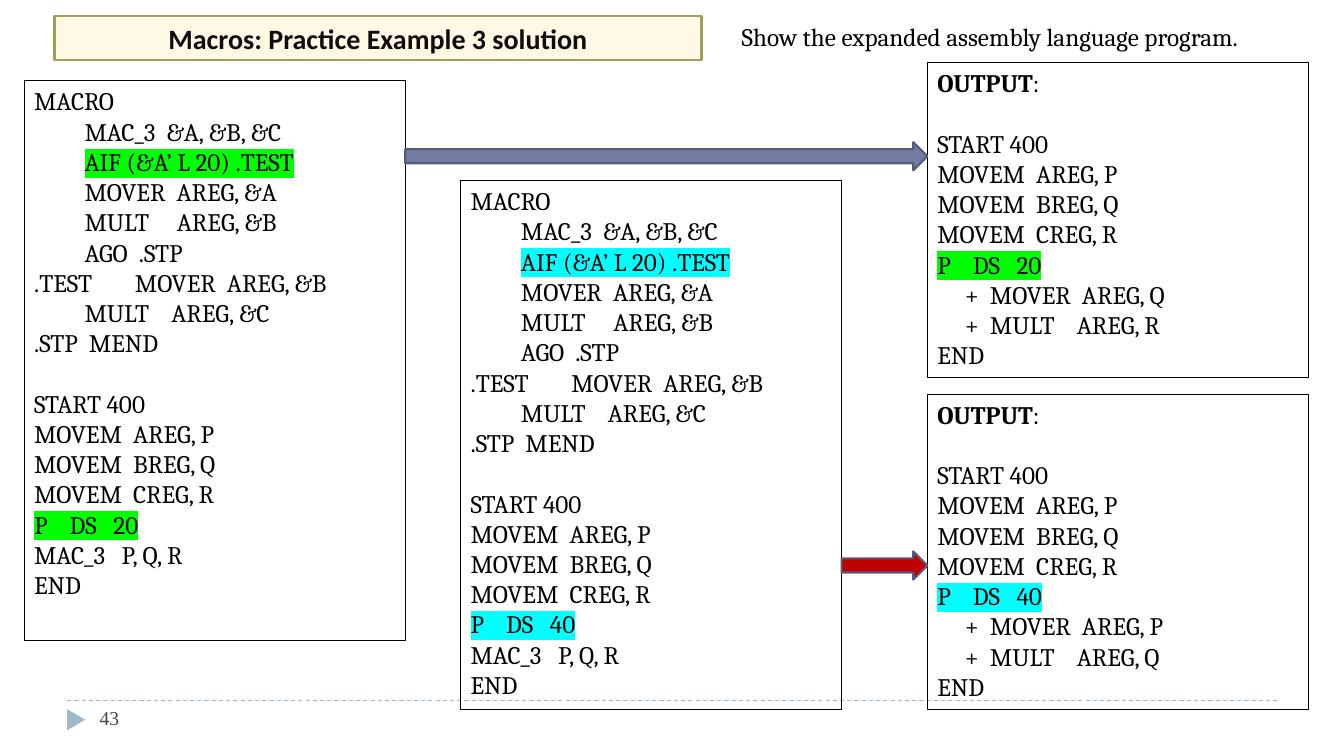
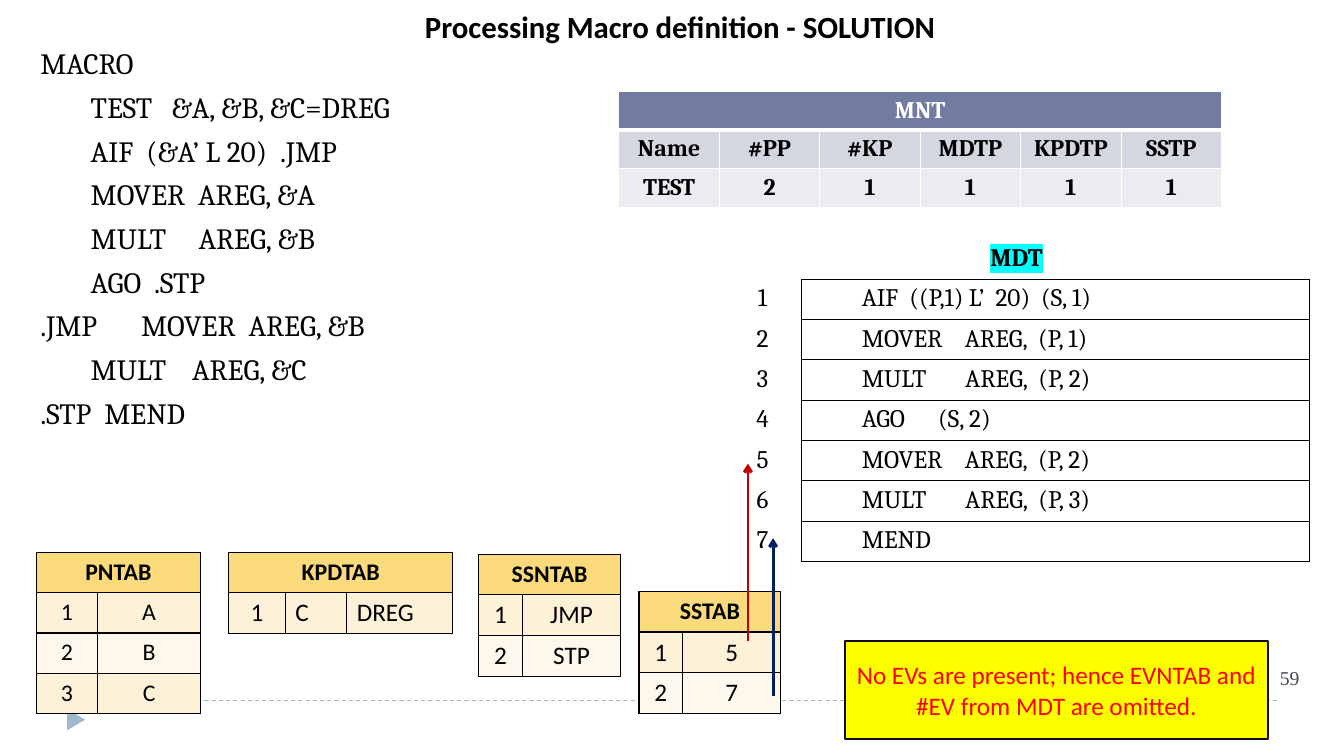
import dataclasses

import pptx
import pptx.dml.color
import pptx.enum.dml
import pptx.enum.shapes
import pptx.enum.text
import pptx.oxml
import pptx.oxml.ns
import pptx.oxml.xmlchemy
import pptx.util

RGBColor = pptx.dml.color.RGBColor
Pt = pptx.util.Pt
Shapes = pptx.enum.shapes.MSO_SHAPE
Align = pptx.enum.text.PP_ALIGN
Anchor = pptx.enum.text.MSO_ANCHOR
qn = pptx.oxml.ns.qn

# Slide grid: 40 columns by 30 rows
SLIDE_WIDTH = pptx.util.Inches(13.333)
SLIDE_HEIGHT = pptx.util.Inches(7.5)
COLUMNS, ROWS = 40, 30

# Colours
BLACK = RGBColor(0x00, 0x00, 0x00)
WHITE = RGBColor(0xFF, 0xFF, 0xFF)
INK = RGBColor(0x0D, 0x0D, 0x0D)
FOOTER_BLUE = RGBColor(0x9F, 0xB8, 0xCD)
FOOTER_TEXT = RGBColor(0x46, 0x46, 0x53)
CREAM = RGBColor(0xFE, 0xF8, 0xE4)
OLIVE = RGBColor(0x9B, 0xA1, 0x5A)
SLATE = RGBColor(0x72, 0x7C, 0xA3)
DARK_SLATE = RGBColor(0x54, 0x5C, 0x79)
SLATE_BANDS = (RGBColor(0xD5, 0xD7, 0xE0), RGBColor(0xEB, 0xEC, 0xF0))
GOLD = RGBColor(0xFA, 0xDA, 0x7A)
GOLD_BANDS = (RGBColor(0xFD, 0xF1, 0xD7), RGBColor(0xFE, 0xF8, 0xEC))
GREEN = RGBColor(0x00, 0xFF, 0x00)
CYAN = RGBColor(0x00, 0xFF, 0xFF)
YELLOW = RGBColor(0xFF, 0xFF, 0x00)
RED = RGBColor(0xFF, 0x00, 0x00)
DARK_RED = RGBColor(0xC0, 0x00, 0x00)
NAVY = RGBColor(0x00, 0x20, 0x60)

HEADING_FONT, CODE_FONT, NUMBER_FONT = "Calibri", "Cambria", "Times New Roman"
BLANK_LINE = 21.6  # height of one 18 pt code line
ALL_SIDES = "LRTB"


@dataclasses.dataclass(frozen=True)
class TableStyle:
    font: str
    header_fill: RGBColor = None
    header_color: RGBColor = BLACK
    header_size: int = 17
    header_rule: int = 1
    bands: tuple = (None,)
    border: RGBColor = BLACK
    body_bold: bool = False
    numbered: bool = False  # unboxed line numbers beside boxed lines


MNT_STYLE = TableStyle(CODE_FONT, SLATE, WHITE, header_rule=3, bands=SLATE_BANDS,
                       border=WHITE, body_bold=True)
GOLD_STYLE = TableStyle(HEADING_FONT, GOLD, bands=GOLD_BANDS)
MDT_STYLE = TableStyle(CODE_FONT, header_size=18, numbered=True)


def across(columns):
    return round(SLIDE_WIDTH * columns / COLUMNS)


def down(rows):
    return round(SLIDE_HEIGHT * rows / ROWS)


def area(left, top, width, height):
    return across(left), down(top), across(width), down(height)


def add_element(parent, tag, **attributes):
    element = pptx.oxml.xmlchemy.OxmlElement(tag)
    for name, value in attributes.items():
        element.set(name, str(value))
    parent.append(element)
    return element


# Text
def format_text(frame, font, size, color=BLACK, bold=False, align=Align.LEFT, anchor=Anchor.TOP):
    frame.word_wrap = True
    frame.vertical_anchor = anchor
    for paragraph in frame.paragraphs:
        paragraph.alignment = align
        for run in paragraph.runs:
            run.font.name, run.font.size, run.font.bold = font, Pt(size), bold
            run.font.color.rgb = color


def highlight(run, color):
    mark = pptx.oxml.xmlchemy.OxmlElement("a:highlight")
    add_element(mark, "a:srgbClr", val=color)
    run.font.fill._xPr.find(qn("a:solidFill")).addnext(mark)


def split_paragraph(paragraph, first, second):
    paragraph.text = first
    run = paragraph.add_run()
    run.text = second
    return run


def write_code(frame, lines, size, marked=(), mark_color=None):
    frame.text = "\n".join(lines)
    marked_runs = []
    for paragraph in frame.paragraphs:
        properties = paragraph._p.get_or_add_pPr()
        properties.set("marL", "0")
        properties.set("indent", "0")
        add_element(properties, "a:buNone")
        tabs = add_element(properties, "a:tabLst")
        add_element(tabs, "a:tab", pos=across(3), algn="l")
        code = paragraph.text.lstrip("\t")
        if code in marked:
            if paragraph.text != code:
                split_paragraph(paragraph, "\t", code)
            marked_runs.append(paragraph.runs[-1])
        elif code == "OUTPUT:":
            split_paragraph(paragraph, "OUTPUT", ":")
        elif code == "START 400":
            paragraph.space_before = Pt(BLANK_LINE)
    format_text(frame, CODE_FONT, size)
    for run in marked_runs:
        highlight(run, mark_color)


def set_title(slide, text, position, size, color=BLACK):
    title = slide.shapes.title
    title.left, title.top, title.width, title.height = position
    title.text_frame.text = text
    title.text_frame.auto_size = pptx.enum.text.MSO_AUTO_SIZE.NONE
    format_text(title.text_frame, HEADING_FONT, size, color, True, Align.CENTER, Anchor.MIDDLE)
    return title


def add_text(slide, text, position, font, size, color=BLACK, align=Align.LEFT):
    frame = slide.shapes.add_textbox(*position).text_frame
    frame.text = text
    format_text(frame, font, size, color, align=align)


def add_page_number(slide, number, position, align=Align.LEFT):
    add_text(slide, number, position, NUMBER_FONT, 14, FOOTER_TEXT, align)


# Shapes and lines
def paint(shape, fill, line, line_width):
    if fill is None:
        shape.fill.background()
    else:
        shape.fill.solid()
        shape.fill.fore_color.rgb = fill
    if line is None:
        shape.line.fill.background()
    else:
        shape.line.color.rgb = line
        shape.line.width = Pt(line_width)


def add_figure(slide, kind, position, fill=None, line=None, line_width=0.75):
    shape = slide.shapes.add_shape(kind, *position)
    shape.shadow.inherit = False
    paint(shape, fill, line, line_width)
    return shape


def add_code_box(slide, position, lines, marked, mark_color):
    box = add_figure(slide, Shapes.RECTANGLE, position, line=BLACK)
    write_code(box.text_frame, lines, 18, marked, mark_color)
    if lines[0] == "OUTPUT:":
        box.text_frame.paragraphs[0].runs[0].font.bold = True
    return box


def add_block_arrow(slide, source, target, top, color):
    left = source.left + source.width
    position = left, down(top), target.left - left, down(1.12)
    add_figure(slide, Shapes.RIGHT_ARROW, position, color, DARK_SLATE, 1.5)


def add_line(slide, start, end, color, width):
    line = slide.shapes.add_connector(
        pptx.enum.shapes.MSO_CONNECTOR.STRAIGHT,
        across(start[0]), down(start[1]), across(end[0]), down(end[1]))
    line.line.color.rgb = color
    line.line.width = Pt(width)
    add_element(line.element.spPr, "a:effectLst")
    return line


def add_pointer(slide, column, bottom, top, color):
    pointer = add_line(slide, (column, bottom), (column, top), color, 2)
    add_element(pointer.get_or_add_ln(), "a:tailEnd", type="arrow")


def add_master_footer(presentation, slide):
    """Draw the footer rule and marker, then hand them to the slide master."""
    rule = add_line(slide, (2, 27.8), (38, 27.8), FOOTER_BLUE, 0.75)
    rule.line.dash_style = pptx.enum.dml.MSO_LINE.DASH
    marker = add_figure(slide, Shapes.ISOSCELES_TRIANGLE, area(1.95, 28.2, 0.63, 0.72), FOOTER_BLUE)
    marker.rotation = 90
    for shape in (rule, marker):
        presentation.slide_master.shapes.element.append(shape.element)


# Tables
def set_borders(cell, widths, color):
    properties = cell._tc.get_or_add_tcPr()
    for index, (side, width) in enumerate(widths.items()):
        line = add_element(properties, f"a:ln{side}", w=Pt(width))
        add_element(add_element(line, "a:solidFill"), "a:srgbClr", val=color)
        properties.insert(index, line)


def border_widths(style, row, column):
    sides = ALL_SIDES
    if style.numbered and row == 0:
        sides = ""
    elif style.numbered and column == 0:
        sides = "R"
    return {side: style.header_rule if (row, side) in ((0, "B"), (1, "T")) else 1
            for side in sides}


def add_data_table(slide, left, top, widths, row_height, header, rows, style,
                   body_size=18, left_columns=()):
    position = area(left, top, sum(widths), row_height * (len(rows) + 1))
    table = slide.shapes.add_table(len(rows) + 1, len(widths), *position).table
    table.first_row = table.horz_banding = False
    # "No Style, No Grid"
    table._tbl.tblPr.find(qn("a:tableStyleId")).text = "{2D5ABB26-0587-4C30-8999-92F81FD0307C}"
    for column, width in zip(table.columns, widths):
        column.width = across(width)
    table.cell(0, 0).merge(table.cell(0, len(widths) - 1))
    header_row = [header] + [""] * (len(widths) - 1)
    for row, values in enumerate([header_row, *rows]):
        table.rows[row].height = down(row_height)
        is_header = row == 0
        fill = style.header_fill if is_header else style.bands[(row - 1) % len(style.bands)]
        for column, value in enumerate(values):
            cell = table.cell(row, column)
            cell.text_frame.text = value
            is_left = column in left_columns and not is_header
            format_text(cell.text_frame, style.font,
                        style.header_size if is_header else body_size,
                        style.header_color if is_header else BLACK,
                        is_header or style.body_bold,
                        Align.LEFT if is_left else Align.CENTER)
            if fill is None:
                cell.fill.background()
            else:
                cell.fill.solid()
                cell.fill.fore_color.rgb = fill
            set_borders(cell, border_widths(style, row, column), style.border)
    return table


# Assembly listings
def macro_lines(prototype, condition, label):
    return ["MACRO", f"\t{prototype}", f"\t{condition}", "\tMOVER  AREG, &A",
            "\tMULT     AREG, &B", "\tAGO  .STP", f"{label}\tMOVER  AREG, &B",
            "\tMULT    AREG, &C", ".STP  MEND"]


def program_lines(definition, calls):
    moves = [f"MOVEM  {register}REG, {name}" for register, name in zip("ABC", "PQR")]
    return ["START 400", *moves, definition, *calls, "END"]


def build_expansion_slide(slide):
    title = set_title(slide, "Macros: Practice Example 3 solution",
                      area(1.62, 0.64, 19.26, 1.76), 20, INK)
    paint(title, CREAM, OLIVE, 1.5)
    add_text(slide, "Show the expanded assembly language program.",
             area(21.78, 0.64, 17.31, 1.6), CODE_FONT, 18, align=Align.JUSTIFY)
    condition = "AIF (&A’ L 20) .TEST"
    macro = macro_lines("MAC_3  &A, &B, &C", condition, ".TEST")
    box_width = 11.34
    # size, input left/top/height, output top, operands, highlight, arrow top and colour
    cases = (
        (20, 0.72, 3.2, 22.2, 2.48, "QR", GREEN, 5.64, SLATE),
        (40, 13.71, 7.16, 21, 15.64, "PQ", CYAN, 21.88, DARK_RED),
    )
    for size, left, top, height, output_top, operands, mark, arrow_top, arrow_color in cases:
        definition = f"P    DS   {size}"
        marked = (condition, definition)
        source = add_code_box(slide, area(left, top, box_width, height),
                              macro + program_lines(definition, ["MAC_3   P, Q, R"]), marked, mark)
        expansion = [f"     +  MOVER  AREG, {operands[0]}", f"     +  MULT    AREG, {operands[1]}"]
        output = add_code_box(slide, area(27.6, output_top, box_width, 12.52),
                              ["OUTPUT:"] + program_lines(definition, expansion), marked, mark)
        add_block_arrow(slide, source, output, arrow_top, arrow_color)
    add_page_number(slide, "43", area(2.67, 27.8, 8.67, 1.6))


def build_tables_slide(slide):
    set_title(slide, "Processing Macro definition - SOLUTION", area(8, 0.08, 24.48, 1.88), 22)

    # Macro source
    body = slide.placeholders[1]
    body.left, body.top, body.width, body.height = area(0.9, 1.6, 15.57, 15.8)
    body.text_frame.auto_size = pptx.enum.text.MSO_AUTO_SIZE.NONE
    write_code(body.text_frame,
               macro_lines("TEST   &A, &B, &C=DREG", "AIF  (&A’ L 20)  .JMP", ".JMP"), 21)
    for index, paragraph in enumerate(body.text_frame.paragraphs):
        paragraph.space_before = Pt(6 if index else 0)

    # Name table and definition table
    add_data_table(slide, 18.42, 3.64, [2.99] * 6, 1.53, "MNT",
                   [["Name", "#PP", "#KP", "MDTP", "KPDTP", "SSTP"],
                    ["TEST", "2", "1", "1", "1", "1"]], MNT_STYLE, 17)
    definition = ["AIF  ((P,1) L’  20)  (S, 1)", "MOVER    AREG,  (P, 1)",
                  "MULT       AREG,  (P, 2)", "AGO      (S, 2)", "MOVER    AREG,  (P, 2)",
                  "MULT       AREG,  (P, 3)", "MEND"]
    numbered_lines = [[str(number), line] for number, line in enumerate(definition, 1)]
    mdt = add_data_table(slide, 21.54, 9.48, [2.31, 15.12], 1.6, "MDT",
                         numbered_lines, MDT_STYLE, left_columns=(1,))
    highlight(mdt.cell(0, 0).text_frame.paragraphs[0].runs[0], CYAN)
    for row in range(1, len(mdt.rows)):
        mdt.cell(row, 1).margin_left = across(1.8)

    # Parameter and sequencing symbol tables
    symbol_tables = (
        ("PNTAB", 1.08, 21.92, [1.83, 3.06], [["1", "A"], ["2", "B"], ["3", "C"]], 17, ()),
        ("KPDTAB", 6.81, 21.92, [1.68, 1.83, 3.15], [["1", "C", "DREG"]], 18, (1, 2)),
        ("SSNTAB", 14.25, 22, [1.3, 2.92], [["1", "JMP"], ["2", "STP"]], 18, ()),
        ("SSTAB", 19.02, 23.48, [1.3, 2.92], [["1", "5"], ["2", "7"]], 18, ()),
    )
    for name, left, top, widths, rows, size, left_columns in symbol_tables:
        add_data_table(slide, left, top, widths, 1.6, name, rows, GOLD_STYLE, size, left_columns)

    # Note, pointers and page number
    note = add_figure(slide, Shapes.RECTANGLE, area(25.14, 25.44, 12.6, 3.88), YELLOW, INK, 1.5)
    note.text_frame.text = "No EVs are present; hence EVNTAB and #EV from MDT are omitted."
    format_text(note.text_frame, HEADING_FONT, 18, RED, align=Align.CENTER, anchor=Anchor.MIDDLE)
    add_pointer(slide, 22.26, 25.44, 18.4, DARK_RED)
    add_pointer(slide, 23.01, 27.6, 21.36, NAVY)
    add_page_number(slide, "59", area(32.46, 26.24, 6.51, 1.6), Align.RIGHT)


def main():
    presentation = pptx.Presentation()
    presentation.slide_width, presentation.slide_height = SLIDE_WIDTH, SLIDE_HEIGHT
    title_and_content, title_only = (presentation.slide_layouts[index] for index in (1, 5))
    expansion_slide = presentation.slides.add_slide(title_only)
    add_master_footer(presentation, expansion_slide)
    build_expansion_slide(expansion_slide)
    build_tables_slide(presentation.slides.add_slide(title_and_content))
    presentation.save("out.pptx")


if __name__ == "__main__":
    main()
